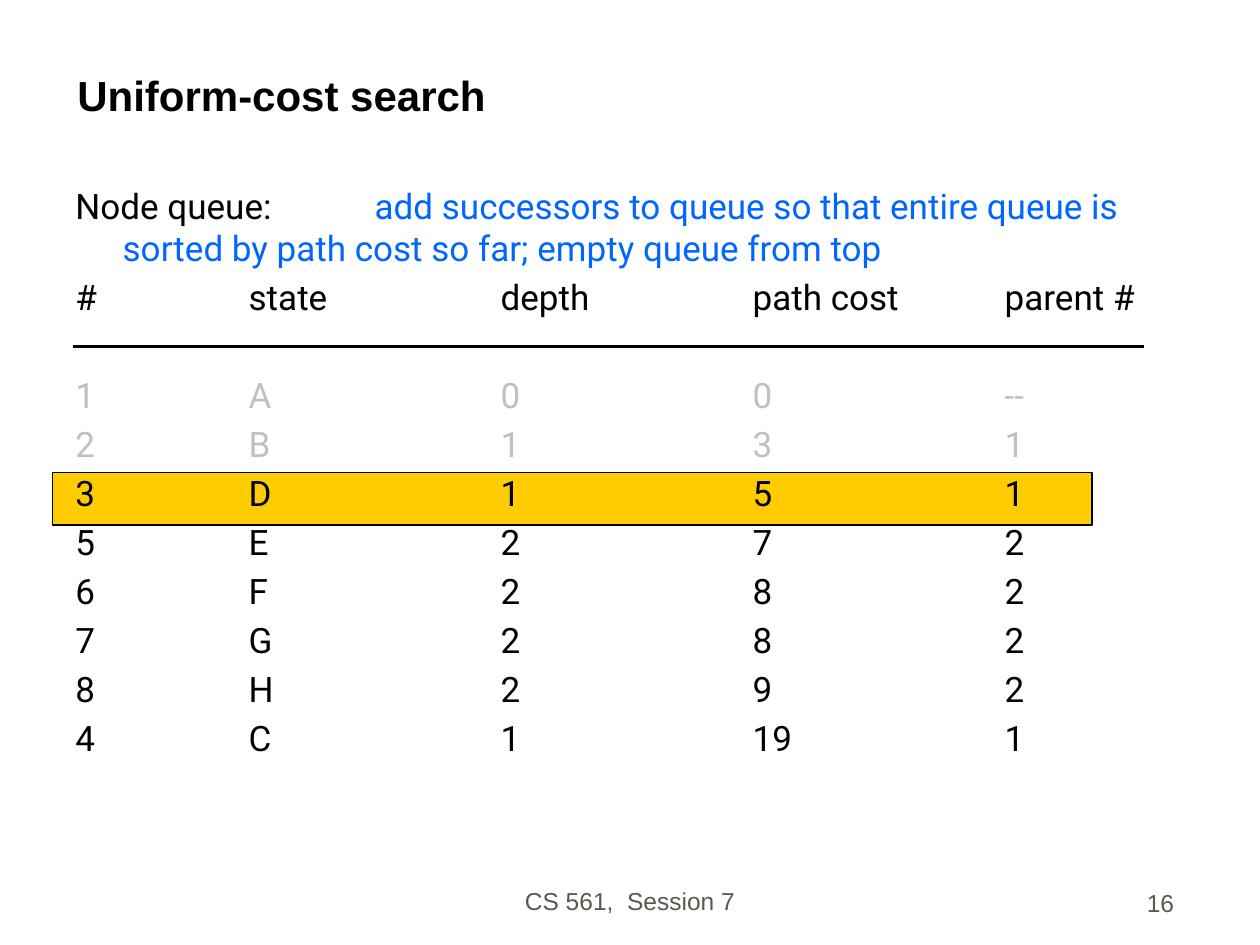
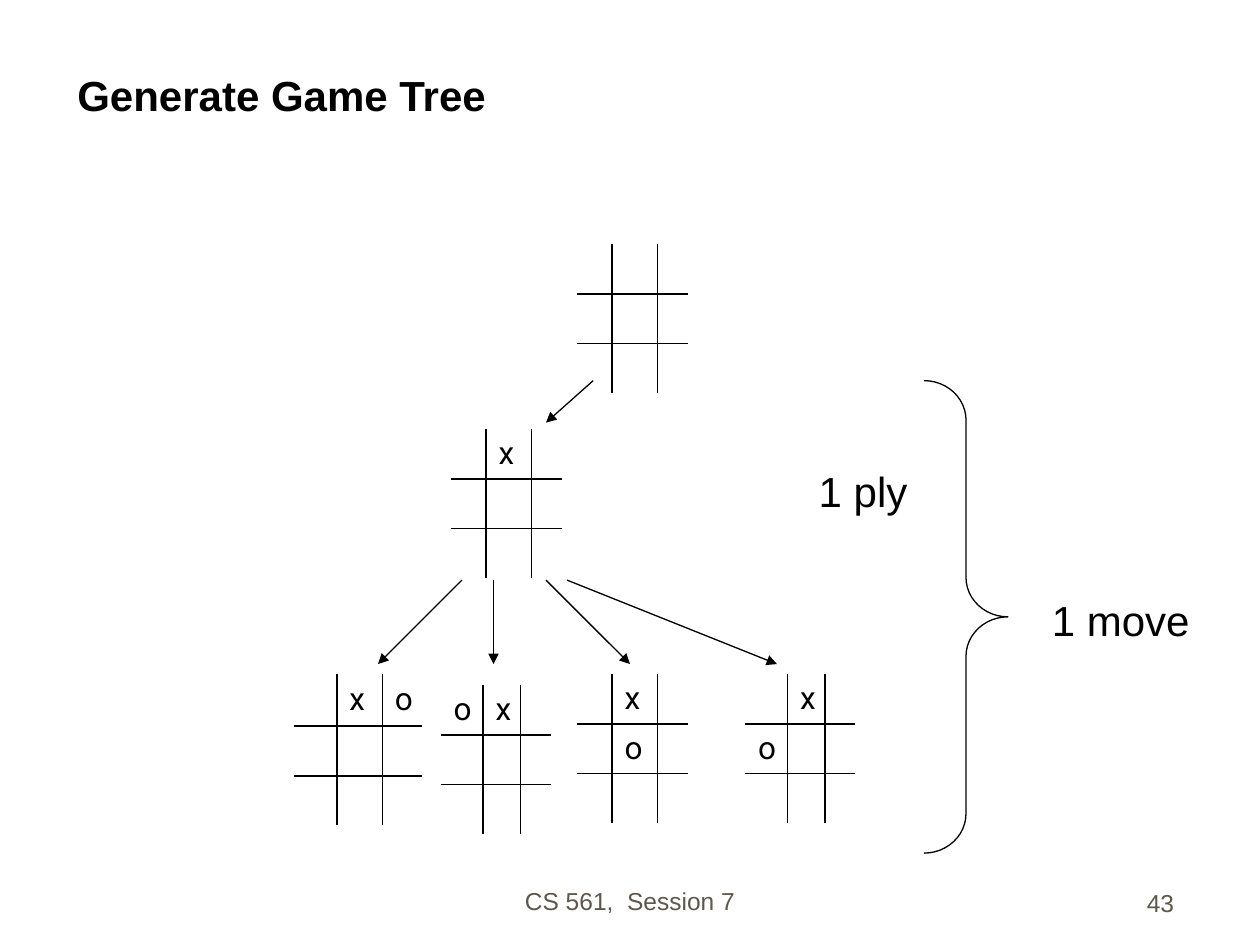
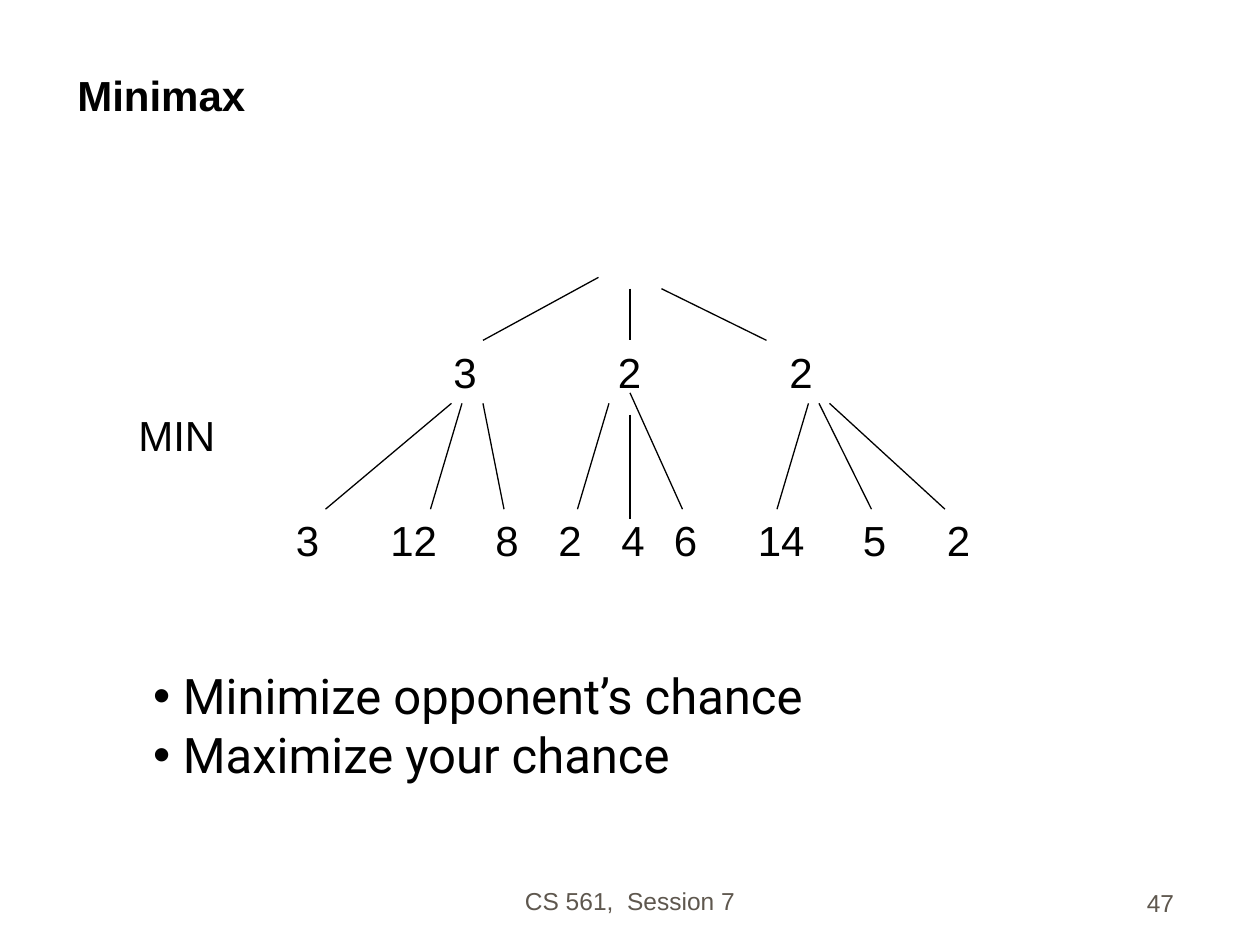
from dataclasses import dataclass

from lxml.etree import SubElement
from pptx import Presentation
from pptx.dml.color import RGBColor
from pptx.enum.shapes import MSO_CONNECTOR, MSO_SHAPE
from pptx.enum.text import MSO_ANCHOR, MSO_AUTO_SIZE, PP_ALIGN
from pptx.oxml.ns import qn
from pptx.util import Pt

BLACK = RGBColor(0x00, 0x00, 0x00)
BLUE = RGBColor(0x00, 0x66, 0xFF)
GOLD = RGBColor(0xFF, 0xCC, 0x00)
SILVER = RGBColor(0xC0, 0xC0, 0xC0)
FOOTER_BROWN = RGBColor(0x5E, 0x57, 0x4E)

HEADING_FONT = "Arial"
BODY_FONT = "Roboto"
TITLE_ONLY = 5
TAB_SIZE = 72
ROW_HEIGHT = 28.4
NARROW_COLUMNS = (20, 26, 16.5)
SHIFTED_COLUMNS = (24, 21.5, 16.5)


@dataclass(frozen=True)
class Area:
    left: float
    top: float
    width: float
    height: float

    def lengths(self):
        return Pt(self.left), Pt(self.top), Pt(self.width), Pt(self.height)


@dataclass(frozen=True)
class Segment:
    x1: float
    y1: float
    x2: float
    y2: float


@dataclass(frozen=True)
class Board:
    left: float
    top: float
    columns: tuple
    marks: dict
    first_row: float = ROW_HEIGHT


@dataclass(frozen=True)
class Label:
    text: str
    left: float
    top: float
    width: float = 28


TITLE_AREA = Area(37, 18, 642, 54)
SESSION_AREA = Area(246, 490.5, 228, 36)
NUMBER_AREA = Area(528, 492, 150, 36)

DONE_NODES = ["1 A 0 0 --", "2 B 1 3 1"]
NEXT_NODE = "3 D 1 5 1"
OPEN_NODES = ["5 E 2 7 2", "6 F 2 8 2", "7 G 2 8 2", "8 H 2 9 2", "4 C 1 19 1"]

BOARDS = [
    Board(329.75, 139.5, NARROW_COLUMNS, {}),
    Board(257.75, 245.25, NARROW_COLUMNS, {(0, 1): "x"}),
    Board(252, 391.5, SHIFTED_COLUMNS, {(0, 0): "o", (0, 1): "x"}),
    Board(329.75, 385.25, NARROW_COLUMNS, {(0, 1): "x", (1, 1): "o"}),
    Board(426, 385.25, SHIFTED_COLUMNS, {(0, 1): "x", (1, 0): "o"}),
    Board(168, 385.25, (24.5, 26, 22.5), {(0, 1): "x", (0, 2): "o"}, 29.7),
]
MOVES = [
    Segment(339, 217.5, 312, 241.5),
    Segment(264, 331.5, 216, 379.5),
    Segment(282, 331.5, 282, 379.5),
    Segment(312, 331.5, 360, 379.5),
    Segment(324, 331.5, 444, 379.5),
]
MOVE_LABELS = [Label("1 ply", 460.75, 262.5, 65.5), Label("1 move", 594, 336, 93.5)]

MIN_TOP, LEAF_TOP = 194.5, 290.5
MIN_VALUES = [("3", 252), ("2", 346), ("2", 444)]
LEAF_VALUES = [
    ("3", 162), ("12", 216), ("8", 276), ("2", 312), ("4", 348),
    ("6", 378), ("14", 426), ("5", 486), ("2", 534),
]
BRANCHES = [
    Segment(342, 158.5, 276, 194.5),
    Segment(360, 165, 360, 194.5),
    Segment(378, 165, 438, 194.5),
    Segment(258, 230.5, 186, 291),
    Segment(264, 230.5, 246, 291),
    Segment(276, 230.5, 288, 291),
    Segment(348, 230.5, 330, 291),
    Segment(360, 237, 360, 296.5),
    Segment(360, 224.5, 390, 291),
    Segment(462, 230.5, 444, 291),
    Segment(468, 230.5, 498, 291),
    Segment(474, 230.5, 540, 291),
]


def write(frame, text, *, size=24, font=HEADING_FONT, color=BLACK, bold=False,
          align=PP_ALIGN.LEFT, before=0, hanging=0, bullet="", same_line=False):
    paragraph = frame.paragraphs[-1]
    if paragraph.runs and not same_line:
        paragraph = frame.add_paragraph()
    paragraph.alignment = align
    if before:
        paragraph.space_before = Pt(before)
    properties = paragraph._p.get_or_add_pPr()
    if hanging:
        properties.set("marL", str(Pt(hanging)))
        properties.set("indent", str(-Pt(hanging)))
        properties.set("defTabSz", str(Pt(TAB_SIZE)))
    if bullet:
        SubElement(properties, qn("a:buFont")).set("typeface", HEADING_FONT)
        SubElement(properties, qn("a:buChar")).set("char", bullet)
    run = paragraph.add_run()
    run.text = text
    run.font.size = Pt(size)
    run.font.name = font
    run.font.bold = bold
    run.font.color.rgb = color


def add_frame(slide, area: Area, wrap: bool = True, anchor=MSO_ANCHOR.TOP):
    frame = slide.shapes.add_textbox(*area.lengths()).text_frame
    frame.word_wrap = wrap
    frame.vertical_anchor = anchor
    return frame


def add_label(slide, label: Label) -> None:
    area = Area(label.left, label.top, label.width, 36)
    frame = add_frame(slide, area, wrap=False)
    frame.auto_size = MSO_AUTO_SIZE.SHAPE_TO_FIT_TEXT
    write(frame, label.text)


def add_line(slide, segment: Segment, weight: float = 0.75, arrow: bool = False) -> None:
    line = slide.shapes.add_connector(
        MSO_CONNECTOR.STRAIGHT, Pt(segment.x1), Pt(segment.y1), Pt(segment.x2), Pt(segment.y2))
    line.line.color.rgb = BLACK
    line.line.width = Pt(weight)
    if arrow:
        SubElement(line.line._get_or_add_ln(), qn("a:tailEnd")).set("type", "triangle")
    SubElement(line._element.spPr, qn("a:effectLst"))


def add_outline(slide, kind, area: Area):
    outline = slide.shapes.add_shape(kind, *area.lengths())
    outline.shadow.inherit = False
    outline.fill.background()
    outline.line.color.rgb = BLACK
    outline.line.width = Pt(0.75)
    return outline


def draw_edge(cell, side: str, visible: bool) -> None:
    edge = SubElement(cell._tc.get_or_add_tcPr(), qn(f"a:ln{side}"), w=str(Pt(1)))
    if visible:
        fill = SubElement(edge, qn("a:solidFill"))
        SubElement(fill, qn("a:srgbClr")).set("val", str(BLACK))
    else:
        SubElement(edge, qn("a:noFill"))


def add_board(slide, board: Board) -> None:
    heights = (board.first_row, ROW_HEIGHT, ROW_HEIGHT)
    area = Area(board.left, board.top, sum(board.columns), sum(heights))
    grid = slide.shapes.add_table(3, 3, *area.lengths()).table
    grid.first_row = grid.horz_banding = False
    for column, width in zip(grid.columns, board.columns):
        column.width = Pt(width)
    for row, height in zip(grid.rows, heights):
        row.height = Pt(height)
    for r in range(3):
        for c in range(3):
            cell = grid.cell(r, c)
            cell.margin_top = cell.margin_bottom = Pt(0)
            cell.vertical_anchor = MSO_ANCHOR.MIDDLE
            inner = {"L": c > 0, "R": c < 2, "T": r > 0, "B": r < 2}
            for side, visible in inner.items():
                draw_edge(cell, side, visible)
            cell.fill.background()
            if (r, c) in board.marks:
                write(cell.text_frame, board.marks[r, c], size=18, font=BODY_FONT)


def start_slide(deck, title: str, number: int):
    slide = deck.slides.add_slide(deck.slide_layouts[TITLE_ONLY])
    heading = slide.shapes.title
    heading.left, heading.top, heading.width, heading.height = TITLE_AREA.lengths()
    heading.text_frame.auto_size = MSO_AUTO_SIZE.NONE
    heading.text_frame.vertical_anchor = MSO_ANCHOR.BOTTOM
    write(heading.text_frame, title, bold=True)
    for area, text, align in (
        (SESSION_AREA, "CS 561,  Session 7", PP_ALIGN.CENTER),
        (NUMBER_AREA, str(number), PP_ALIGN.RIGHT),
    ):
        footer = add_frame(slide, area, anchor=MSO_ANCHOR.BOTTOM)
        write(footer, text, size=14, color=FOOTER_BROWN, align=align)
    return slide


def build_uniform_cost(deck) -> None:
    slide = start_slide(deck, "Uniform-cost search", 16)
    highlight = add_outline(slide, MSO_SHAPE.RECTANGLE, Area(30, 270, 594, 30))
    highlight.fill.solid()
    highlight.fill.fore_color.rgb = GOLD

    queue = add_frame(slide, Area(36, 102, 644, 375))
    style = dict(size=20, font=BODY_FONT, hanging=27)
    write(queue, "Node queue:\t", **style)
    write(queue, "add successors to queue so that entire queue is sorted by path cost "
          "so far; empty queue from top", color=BLUE, same_line=True, **style)
    write(queue, "#\t\tstate\t\tdepth\t\tpath cost\tparent #", before=4, **style)
    for i, node in enumerate([*DONE_NODES, NEXT_NODE, *OPEN_NODES]):
        write(queue, "\t\t".join(node.split()), before=4 if i else 32,
              color=SILVER if node in DONE_NODES else BLACK, **style)
    add_line(slide, Segment(42, 198, 654, 198), weight=2.25)


def build_game_tree(deck) -> None:
    slide = start_slide(deck, "Generate Game Tree", 43)
    for board in BOARDS:
        add_board(slide, board)
    for move in MOVES:
        add_line(slide, move, arrow=True)
    brace = add_outline(slide, MSO_SHAPE.RIGHT_BRACE, Area(528, 217.5, 48, 270))
    brace.adjustments[0] = 0.47
    brace.adjustments[1] = 0.5
    for label in MOVE_LABELS:
        add_label(slide, label)


def build_minimax(deck) -> None:
    slide = start_slide(deck, "Minimax", 47)
    for top, values in ((MIN_TOP, MIN_VALUES), (LEAF_TOP, LEAF_VALUES)):
        for value, left in values:
            add_label(slide, Label(value, left, top, 28 if len(value) == 1 else 41))
    for branch in BRANCHES:
        add_line(slide, branch)
    add_label(slide, Label("MIN", 72, 230.5, 58.5))
    goals = add_frame(slide, Area(80.5, 377, 421, 74))
    for goal in ("Minimize opponent’s chance", "Maximize your chance"):
        write(goals, goal, size=28, font=BODY_FONT, hanging=17, bullet="•")


def main() -> None:
    deck = Presentation()
    deck.slide_width, deck.slide_height = Pt(720), Pt(540)
    build_uniform_cost(deck)
    build_game_tree(deck)
    build_minimax(deck)
    deck.save("out.pptx")


if __name__ == "__main__":
    main()
